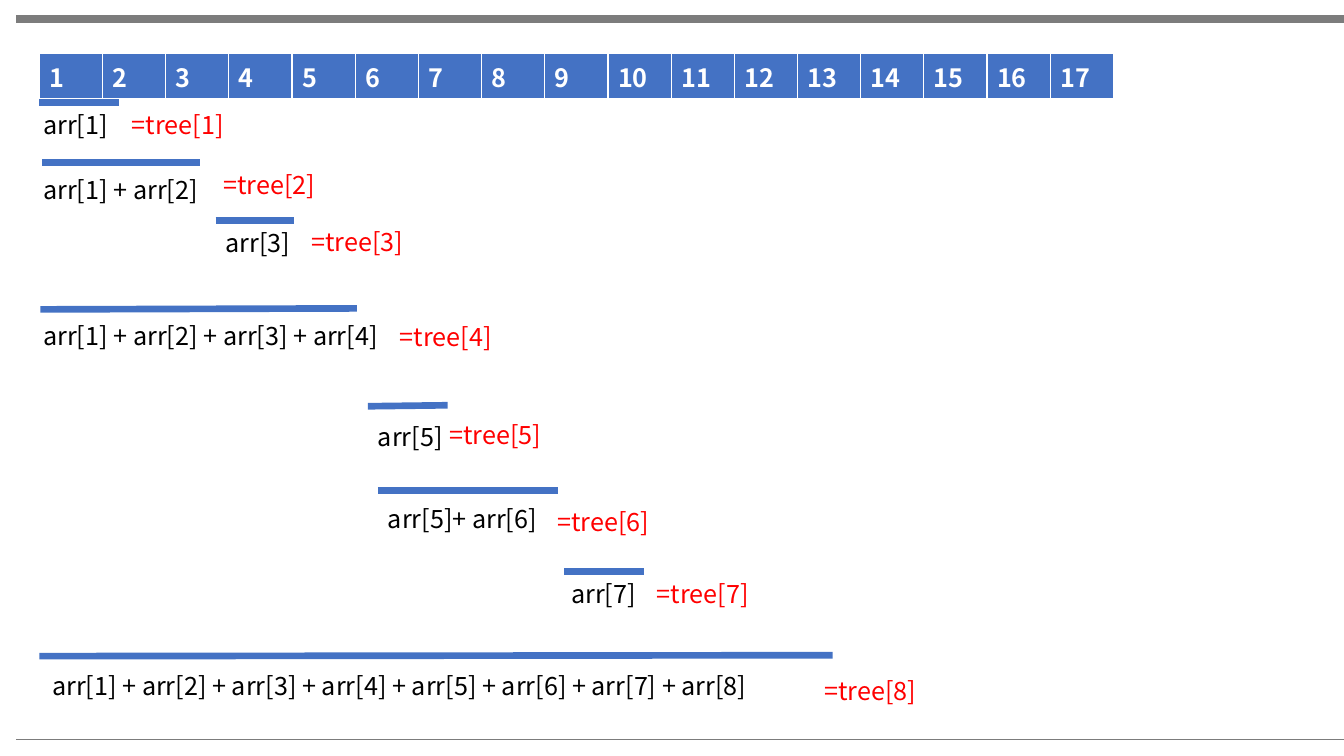
from lxml.etree import SubElement
from pptx import Presentation
from pptx.dml.color import RGBColor
from pptx.enum.shapes import MSO_CONNECTOR
from pptx.enum.text import MSO_AUTO_SIZE
from pptx.oxml.ns import qn
from pptx.util import Pt

HUE = {"blue": "4472C4", "gray": "7C7C7C", "red": "FF0000",
       "black": "000000", "white": "FFFFFF"}
FONT = "Noto Sans CJK KR"
CELLS = 17
SUMS = [
    ((28.1, 73.4, 56.9), (23.8, 74.9, 61.2), "arr[1]", (87.1, 74.9)),
    ((30.2, 115.9, 113), (23.8, 121, 767.5), "arr[1] + arr[2]", (152.6, 117.4)),
    ((154.1, 157.7, 56.2), (154.1, 159.1, 61.2), "arr[3]", (215.3, 158.4)),
    ((28.8, 221, 226.1), (23.8, 225.4, 453.6),
     "arr[1] + arr[2] + arr[3] + arr[4]", (278.6, 226.1)),
    ((262.8, 290.2, 56.9), (262.8, 297.4, 61.2), "arr[5]", (313.9, 295.9)),
    ((270, 350.6, 128.9), (270, 355.7, 128.9), "arr[5]+ arr[6]", (391, 357.8)),
    ((403.2, 408.2, 56.9), (401, 409.7, 61.2), "arr[7]", (462.2, 409.7)),
    ((28.1, 468.7, 566.6), (30.2, 475.2, 566.6),
     "arr[1] + arr[2] + arr[3] + arr[4] + arr[5] + arr[6] + arr[7] + arr[8]",
     (581.8, 478.8)),
]
TILTED = {4, 5, 8}


def write(frame, text, color="black", bold=False):
    run = frame.paragraphs[0].add_run()
    run.text = text
    font = run.font
    font.size, font.bold, font.name = Pt(18), bold, FONT
    font.color.rgb = RGBColor.from_string(HUE[color])
    east = SubElement(font._element, qn("a:ea"))
    east.set("typeface", FONT)


def label(slide, left, top, width, text, color="black"):
    box = slide.shapes.add_textbox(Pt(left), Pt(top), Pt(width), Pt(28.8))
    frame = box.text_frame
    frame.word_wrap = True
    frame.auto_size = MSO_AUTO_SIZE.SHAPE_TO_FIT_TEXT
    write(frame, text, color)


def rule(slide, left, top, width, color, weight, rise=0):
    line = slide.shapes.add_connector(
        MSO_CONNECTOR.STRAIGHT, Pt(left), Pt(top), Pt(left + width), Pt(top - rise))
    line.line.color.rgb = RGBColor.from_string(HUE[color])
    line.line.width = Pt(weight)
    SubElement(line._element.spPr, qn("a:effectLst"))


def edge(cell):
    props = cell._tc.get_or_add_tcPr()
    for side, weight in (("L", 1), ("R", 1), ("T", 1), ("B", 3)):
        line = SubElement(props, qn(f"a:ln{side}"), w=str(Pt(weight)))
        fill = SubElement(line, qn("a:solidFill"))
        SubElement(fill, qn("a:srgbClr"), val=HUE["white"])


def index(slide, left, top, width, height):
    table = slide.shapes.add_table(
        1, CELLS, Pt(left), Pt(top), Pt(width), Pt(height)).table
    for pos, col in enumerate(table.columns):
        col.width = Pt(width / CELLS)
        cell = table.cell(0, pos)
        edge(cell)
        cell.fill.solid()
        cell.fill.fore_color.rgb = RGBColor.from_string(HUE["blue"])
        write(cell.text_frame, str(pos + 1), "white", True)


def sums(slide):
    for num, (bar, box, text, spot) in enumerate(SUMS, 1):
        rule(slide, *bar, "blue", 4.75, 0.7 if num in TILTED else 0)
        label(slide, *box, text)
        label(slide, *spot, 82.1, f"=tree[{num}]", "red")


def main():
    deck = Presentation()
    deck.slide_width, deck.slide_height = Pt(960), Pt(540)
    slide = deck.slides.add_slide(deck.slide_layouts[6])
    for top, weight in ((13.7, 6), (527.8, 0.25)):
        rule(slide, 11.5, top, 949.7, "gray", weight)
    index(slide, 28.1, 38.2, 767.5, 29.5)
    sums(slide)
    deck.save("out.pptx")


if __name__ == "__main__":
    main()
